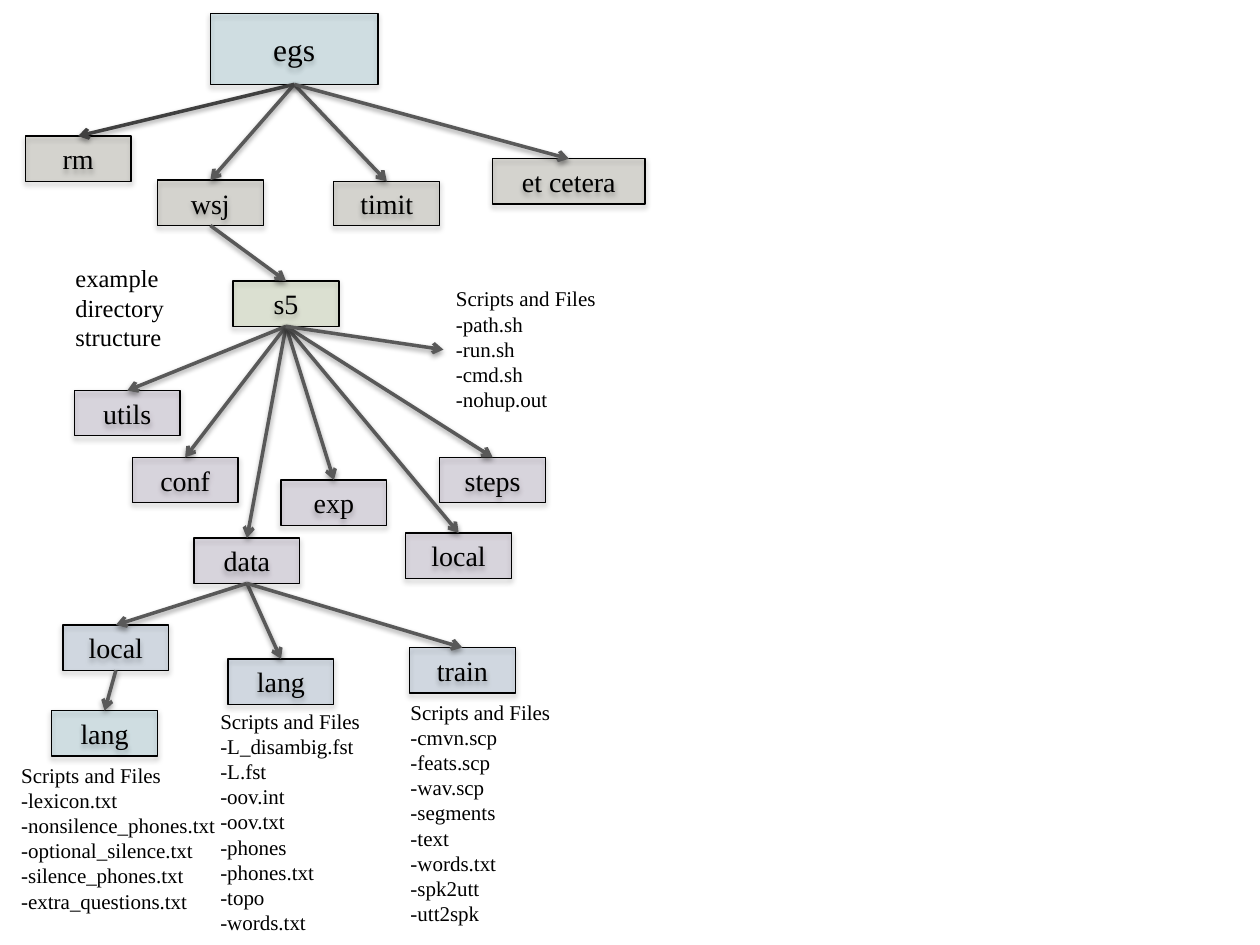
from dataclasses import dataclass

import pptx
import pptx.dml.color
import pptx.enum.shapes
import pptx.enum.text
import pptx.oxml
import pptx.oxml.ns
import pptx.util
from pptx.util import Inches

FONT = "Times New Roman"
COLORS = {
    "teal": "31859C",
    "brown": "4A452A",
    "green": "77933C",
    "purple": "604A7B",
    "blue": "376092",
    "ink": "000000",
    "arrow": "595959",
    "dark_arrow": "404040",
}
BOX_OPACITY = 17


@dataclass
class Directory:
    key: str
    label: str
    left: float
    top: float
    color: str
    width: float = 0.84
    height: float = 0.36
    size: int = 16


@dataclass
class Listing:
    key: str
    left: float
    top: float
    width: float
    height: float
    lines: list[str]
    size: int = 12


@dataclass
class Link:
    parent: str
    child: str
    color: str = "arrow"
    end_site: int = 0


DIRECTORIES = [
    Directory("egs", "egs", 1.67, 0.11, "teal", 1.33, 0.56, 18),
    Directory("rm", "rm", 0.2, 1.08, "brown"),
    Directory("timit", "timit", 2.65, 1.44, "brown", height=0.35),
    Directory("et cetera", "et cetera", 3.91, 1.26, "brown", 1.21),
    Directory("wsj", "wsj", 1.25, 1.43, "brown"),
    Directory("s5", "s5", 1.85, 2.23, "green"),
    Directory("conf", "conf", 1.05, 3.63, "purple"),
    Directory("data", "data", 1.54, 4.27, "purple"),
    Directory("exp", "exp", 2.23, 3.81, "purple"),
    Directory("s5/local", "local", 3.22, 4.23, "purple"),
    Directory("steps", "steps", 3.49, 3.63, "purple"),
    Directory("utils", "utils", 0.59, 3.1, "purple"),
    Directory("data/local", "local", 0.5, 4.96, "blue"),
    Directory("data/lang", "lang", 1.81, 5.23, "blue"),
    Directory("train", "train", 3.25, 5.14, "blue"),
    Directory("local/lang", "lang", 0.41, 5.64, "teal"),
]

HEADING = "Scripts and Files"
LISTINGS = [
    Listing("caption", 0.5, 2.04, 1.09, 0.81, ["example directory structure"], 14),
    Listing("s5 files", 3.52, 2.22, 1.74, 1.11,
            [HEADING, "-path.sh", "-run.sh", "-cmd.sh", "-nohup.out"]),
    Listing("local/lang files", 0.07, 6, 1.74, 1.31,
            [HEADING, "-lexicon.txt", "-nonsilence_phones.txt", "-optional_silence.txt",
             "-silence_phones.txt", "-extra_questions.txt"]),
    Listing("data/lang files", 1.65, 5.57, 1.44, 1.92,
            [HEADING, "-L_disambig.fst", "-L.fst", "-oov.int", "-oov.txt", "-phones",
             "-phones.txt", "-topo", "-words.txt"]),
    Listing("train files", 3.16, 5.5, 1.44, 1.92,
            [HEADING, "-cmvn.scp", "-feats.scp", "-wav.scp", "-segments", "-text",
             "-words.txt", "-spk2utt", "-utt2spk"]),
]

CHILDREN = {
    "egs": ["timit", "wsj", "et cetera"],
    "wsj": ["s5"],
    "s5": ["utils", "conf", "data", "exp", "s5/local", "steps"],
    "data": ["data/local", "data/lang", "train"],
    "data/local": ["local/lang"],
}
LINKS = [Link(parent, child) for parent, children in CHILDREN.items() for child in children]
LINKS += [Link("egs", "rm", "dark_arrow"), Link("s5", "s5 files", end_site=1)]


def rgb(name: str) -> pptx.dml.color.RGBColor:
    return pptx.dml.color.RGBColor.from_string(COLORS[name])


def add_xml(parent, xml: str) -> None:
    """Append a DrawingML element given as text with the a: prefix."""
    tag, rest = xml[:xml.index(" ")], xml[xml.index(" "):]
    parent.append(pptx.oxml.parse_xml(f"{tag} {pptx.oxml.ns.nsdecls('a')}{rest}"))


def shadow_xml(opacity: int, distance: float) -> str:
    blur, dist = pptx.util.Pt(3.1), pptx.util.Pt(distance)
    return (f'<a:outerShdw blurRad="{blur}" dist="{dist}" dir="5400000" rotWithShape="0">'
            f'<a:srgbClr val="{COLORS["ink"]}"><a:alpha val="{opacity * 1000}"/></a:srgbClr>'
            "</a:outerShdw>")


def write_lines(tf, lines: list[str], size: int, align=None) -> None:
    font = {"name": FONT, "size": pptx.util.Pt(size)}
    for i, line in enumerate(lines):
        p = tf.paragraphs[0] if i == 0 else tf.add_paragraph()
        p.alignment = align
        r = p.add_run()
        r.text = line
        for attr, value in font.items():
            setattr(r.font, attr, value)
        r.font.color.rgb = rgb("ink")


def add_directory(slide, d: Directory):
    s = slide.shapes.add_shape(
        pptx.enum.shapes.MSO_SHAPE.RECTANGLE,
        Inches(d.left), Inches(d.top), Inches(d.width), Inches(d.height))
    s.fill.solid()
    s.fill.fore_color.rgb = rgb(d.color)
    sp_pr = s._element.spPr
    fill_color = sp_pr.find(".//" + pptx.oxml.ns.qn("a:srgbClr"))
    add_xml(fill_color, f'<a:alpha val="{BOX_OPACITY * 1000}"/>')
    s.line.color.rgb = rgb("ink")
    s.line.width = pptx.util.Pt(0.75)
    s.shadow.inherit = False
    add_xml(sp_pr.find(pptx.oxml.ns.qn("a:effectLst")), shadow_xml(35, 1.8))
    s.text_frame.vertical_anchor = pptx.enum.text.MSO_ANCHOR.MIDDLE
    write_lines(s.text_frame, [d.label], d.size, pptx.enum.text.PP_ALIGN.CENTER)
    return s


def add_listing(slide, listing: Listing):
    s = slide.shapes.add_textbox(Inches(listing.left), Inches(listing.top),
                                 Inches(listing.width), Inches(listing.height))
    s.text_frame.word_wrap = True
    s.text_frame.auto_size = pptx.enum.text.MSO_AUTO_SIZE.SHAPE_TO_FIT_TEXT
    write_lines(s.text_frame, listing.lines, listing.size)
    return s


def add_link(slide, link: Link, nodes: dict) -> None:
    """Draw an arrow from the parent's bottom to the child's connection site."""
    c = slide.shapes.add_connector(pptx.enum.shapes.MSO_CONNECTOR.STRAIGHT, 0, 0, 0, 0)
    c.begin_connect(nodes[link.parent], 2)
    c.end_connect(nodes[link.child], link.end_site)
    c.line.color.rgb = rgb(link.color)
    c.line.width = pptx.util.Pt(2)
    sp_pr = c._element.spPr
    add_xml(sp_pr.find(pptx.oxml.ns.qn("a:ln")), '<a:tailEnd type="arrow"/>')
    add_xml(sp_pr, f"<a:effectLst >{shadow_xml(38, 1.6)}</a:effectLst>")


def main() -> None:
    prs = pptx.Presentation()
    prs.slide_width, prs.slide_height = Inches(10), Inches(7.5)
    slide = prs.slides.add_slide(prs.slide_layouts[6])
    nodes = {d.key: add_directory(slide, d) for d in DIRECTORIES}
    nodes.update({listing.key: add_listing(slide, listing) for listing in LISTINGS})
    for link in LINKS:
        add_link(slide, link, nodes)
    prs.save("out.pptx")


if __name__ == "__main__":
    main()
